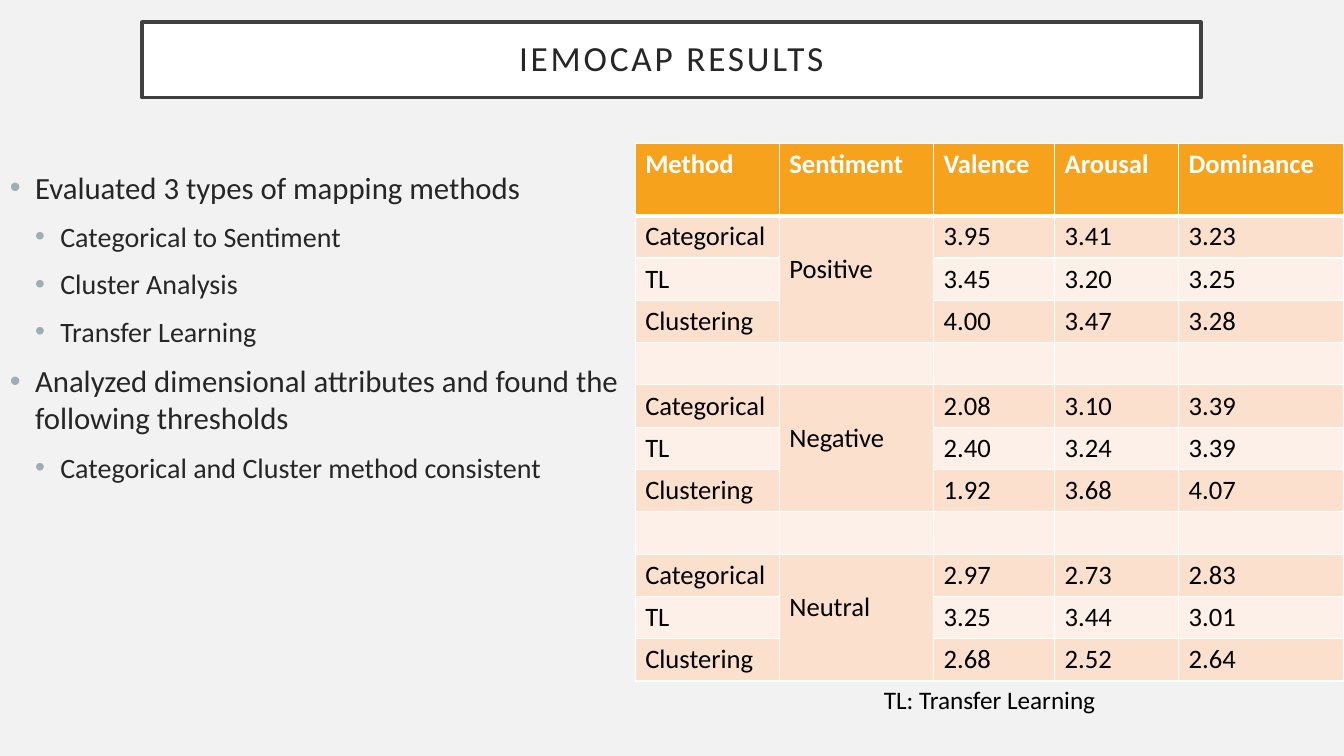
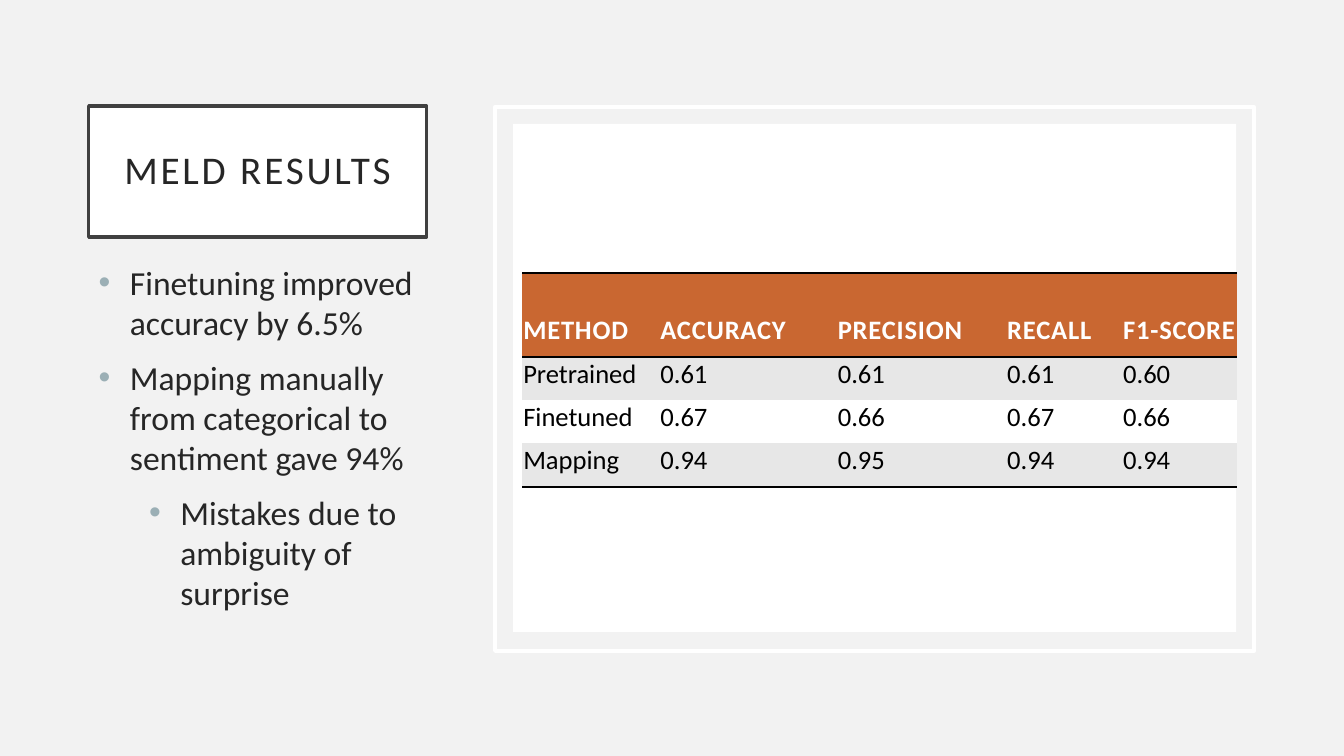
from pptx import Presentation
from pptx.dml.color import RGBColor
from pptx.enum.shapes import MSO_SHAPE
from pptx.enum.text import MSO_ANCHOR, MSO_AUTO_SIZE, PP_ALIGN
from pptx.oxml.ns import qn
from pptx.util import Inches, Pt
from lxml.etree import SubElement

FONT = "Calibri"
BACK, WHITE, BLACK = "F2F2F2", "FFFFFF", "000000"
INK, FRAME, BULLET = "262626", "404040", "9BAFB5"


def color(code):
    return RGBColor.from_string(code)


class Deck:
    """Holds the shared style and the current slide."""

    def __init__(self):
        self.prs = Presentation()
        self.prs.slide_width = Inches(13.33)
        self.prs.slide_height = Inches(7.5)
        fill = self.prs.slide_master.background.fill
        fill.solid()
        fill.fore_color.rgb = color(BACK)
        self.slide = None

    def run(self, para, text, size, ink, bold=False, space=0):
        run = para.add_run()
        run.text = text
        font = run.font
        font.name, font.size, font.bold = FONT, Pt(size), bold
        font.color.rgb = color(ink)
        if space:
            run._r.get_or_add_rPr().set("spc", str(round(space * 100)))

    def paint(self, shape, fill, line):
        if fill:
            shape.fill.solid()
            shape.fill.fore_color.rgb = color(fill)
        else:
            shape.fill.background()
        if line:
            shape.line.color.rgb = color(line)
            shape.line.width = Pt(2.5)
        else:
            shape.line.fill.background()

    def title(self, text, box, size):
        """Start a slide with a framed title."""
        self.slide = self.prs.slides.add_slide(self.prs.slide_layouts[5])
        shape = self.slide.shapes.title
        shape.left, shape.top, shape.width, shape.height = map(Inches, box)
        self.paint(shape, WHITE, FRAME)
        frame = shape.text_frame
        frame.auto_size, frame.word_wrap = MSO_AUTO_SIZE.NONE, True
        frame.vertical_anchor = MSO_ANCHOR.MIDDLE
        frame.margin_left = frame.margin_right = Inches(0.2)
        frame.margin_top = frame.margin_bottom = Inches(0.2)
        para = frame.paragraphs[0]
        para.alignment, para.line_spacing = PP_ALIGN.CENTER, 0.9
        self.run(para, text, size, INK, space=2)

    def text(self, box):
        frame = self.slide.shapes.add_textbox(*map(Inches, box)).text_frame
        frame.word_wrap = True
        return frame

    def bullets(self, items, box, sizes, hang, step):
        """Add a list of (level, text) items."""
        frame = self.text(box)
        for num, (level, text) in enumerate(items):
            para = frame.add_paragraph() if num else frame.paragraphs[0]
            para.level, para.space_before = level, Pt(10)
            props = para._p.get_or_add_pPr()
            props.set("marL", str(Inches(hang + level * step)))
            props.set("indent", str(-Inches(hang)))
            tint = SubElement(props, qn("a:buClr"))
            SubElement(tint, qn("a:srgbClr"), val=BULLET)
            SubElement(props, qn("a:buFont"), typeface="Arial")
            SubElement(props, qn("a:buChar"), char="•")
            self.run(para, text, sizes[level], INK)

    def note(self, text, box, size):
        para = self.text(box).paragraphs[0]
        para.alignment = PP_ALIGN.CENTER
        self.run(para, text, size, BLACK)

    def panel(self, box, fill=None, line=None):
        shape = self.slide.shapes.add_shape(
            MSO_SHAPE.RECTANGLE, *map(Inches, box))
        shape.shadow.inherit = False
        self.paint(shape, fill, line)

    def border(self, cell, side, ink, width):
        """Draw one cell edge; a width of 0 hides it."""
        line = SubElement(cell._tc.get_or_add_tcPr(), qn("a:ln" + side),
                          w=str(Pt(width)))
        if width:
            fill = SubElement(line, qn("a:solidFill"))
            SubElement(fill, qn("a:srgbClr"), val=ink)
        else:
            SubElement(line, qn("a:noFill"))

    def table(self, data, at, cols, heights, fills, ink, sides, edges,
              space=0, pads=None):
        """Add a table: edges give line widths from top to bottom, pads
        the top insets of head and body in a bottom-anchored table."""
        tall = [heights[0]] + [heights[1]] * (len(data) - 1)
        box = (*at, sum(cols), sum(tall))
        grid = self.slide.shapes.add_table(
            len(data), len(cols), *map(Inches, box)).table
        for col, width in zip(grid.columns, cols):
            col.width = Inches(width)
        for row, height in zip(grid.rows, tall):
            row.height = Inches(height)
        for r, values in enumerate(data):
            head = r == 0
            for c, value in enumerate(values):
                cell = grid.cell(r, c)
                for side, width in zip("LRTB", (sides, sides, *edges[r:r + 2])):
                    self.border(cell, side, ink, width)
                cell.fill.solid()
                cell.fill.fore_color.rgb = color(
                    fills[0] if head else fills[2 - r % 2])
                if pads:
                    cell.vertical_anchor = MSO_ANCHOR.BOTTOM
                    cell.margin_left = cell.margin_right = Inches(0.01)
                    cell.margin_top = Inches(pads[not head])
                    cell.margin_bottom = Inches(0.1)
                if value:
                    self.run(cell.text_frame.paragraphs[0], value, 19,
                             WHITE if head else BLACK, head,
                             space if head else 0)
        return grid


def mapping(deck):
    deck.title("IEMOCAP RESULTS", (1.41, 0.22, 10.5, 0.75), 25.2)
    deck.bullets([
        (0, "Evaluated 3 types of mapping methods"),
        (1, "Categorical to Sentiment"),
        (1, "Cluster Analysis"),
        (1, "Transfer Learning"),
        (0, "Analyzed dimensional attributes and found the following thresholds"),
        (1, "Categorical and Cluster method consistent"),
    ], (0, 1.62, 6.3, 4.58), (22, 20), 0.25, 0.25)

    # Three sentiment groups, parted by empty rows
    groups = {
        "Positive": ("3.95 3.41 3.23", "3.45 3.20 3.25", "4.00 3.47 3.28"),
        "Negative": ("2.08 3.10 3.39", "2.40 3.24 3.39", "1.92 3.68 4.07"),
        "Neutral": ("2.97 2.73 2.83", "3.25 3.44 3.01", "2.68 2.52 2.64"),
    }
    methods = ("Categorical", "TL", "Clustering")
    data = [["Method", "Sentiment", "Valence", "Arousal", "Dominance"]]
    starts = []
    for mood, scores in groups.items():
        if starts:
            data.append([""] * 5)
        starts.append(len(data))
        for num, (method, score) in enumerate(zip(methods, scores)):
            data.append([method, "" if num else mood, *score.split()])
    grid = deck.table(data, (6.3, 1.42), (1.43, 1.53, 1.2, 1.23, 1.64),
                      (0.72, 0.42), ("F6A21D", "FBE0CD", "FDF0E8"),
                      WHITE, 1, [1, 3] + [1] * (len(data) - 1))
    for top in starts:
        cell = grid.cell(top, 1)
        cell.merge(grid.cell(top + 2, 1))
        cell.margin_top = Inches(0.37)
    deck.note("TL: Transfer Learning", (6.3, 6.74, 7.03, 0.4), 18)


def tuning(deck):
    deck.title("MELD RESULTS", (0.88, 1.05, 3.35, 1.3), 28)
    deck.bullets([
        (0, "Finetuning improved accuracy by 6.5%"),
        (0, "Mapping manually from categorical to sentiment gave 94%"),
        (1, "Mistakes due to ambiguity of surprise"),
    ], (0.88, 2.55, 3.35, 3.57), (24, 24), 0.31, 0.5)

    # Framed panel with the scores
    deck.panel((4.91, 1.06, 7.53, 5.4), line=WHITE)
    deck.panel((5.09, 1.23, 7.17, 5.04), fill=WHITE)
    data = [
        ["METHOD", "ACCURACY", "PRECISION", "RECALL", "F1-SCORE"],
        ["Pretrained", "0.61", "0.61", "0.61", "0.60"],
        ["Finetuned", "0.67", "0.66", "0.67", "0.66"],
        ["Mapping", "0.94", "0.95", "0.94", "0.94"],
    ]
    deck.table(data, (5.18, 2.71), (1.36, 1.76, 1.68, 1.15, 1.14),
               (0.83, 0.43), ("C96731", "E7E7E7", WHITE),
               BLACK, 0, [2, 2, 0, 0, 2], space=0.6, pads=(0.1, 0.01))


def main():
    deck = Deck()
    mapping(deck)
    tuning(deck)
    deck.prs.save("out.pptx")


if __name__ == "__main__":
    main()
